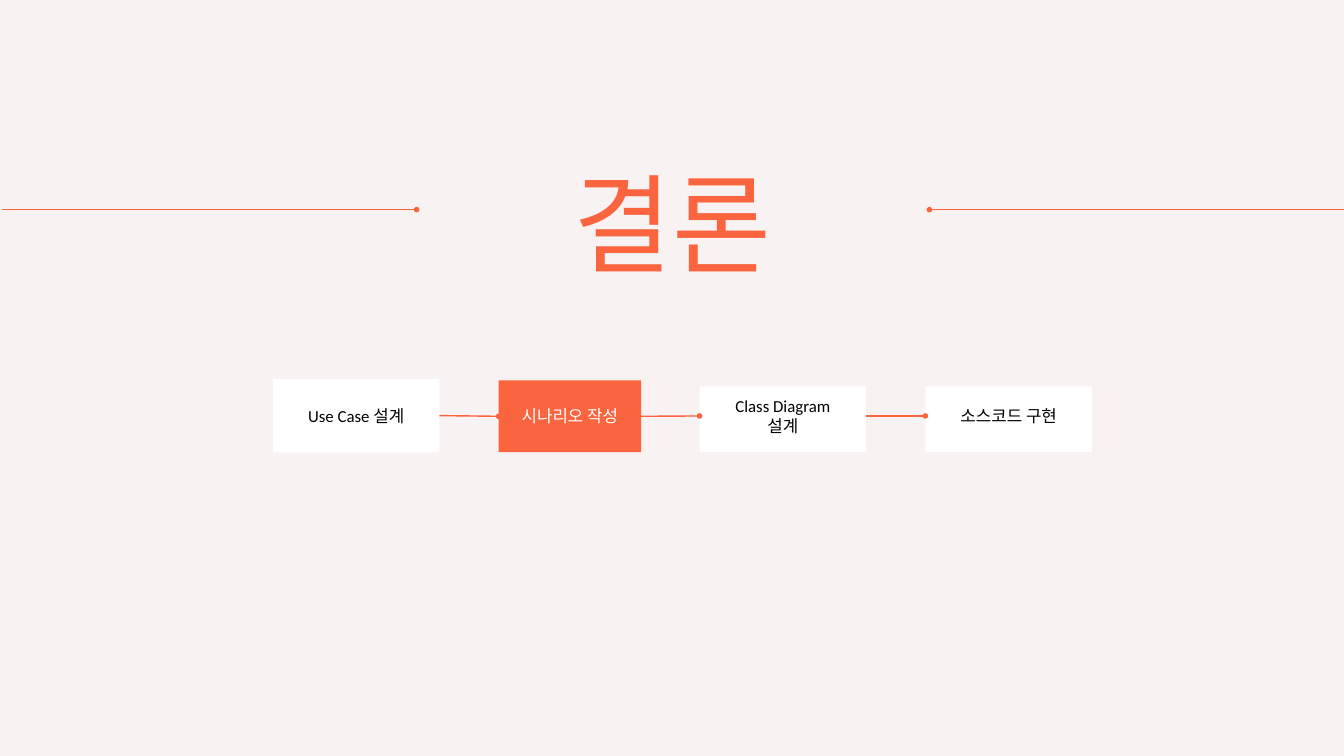
from lxml import etree
from pptx import Presentation
from pptx.dml.color import RGBColor
from pptx.enum.shapes import MSO_CONNECTOR as Connector, MSO_SHAPE as Shape
from pptx.enum.text import MSO_ANCHOR as Anchor, MSO_AUTO_SIZE as AutoSize, PP_ALIGN as Align
from pptx.oxml.ns import qn
from pptx.util import Inches, Pt

BACKGROUND = RGBColor(0xF8, 0xF3, 0xF2)
ORANGE = RGBColor(0xFA, 0x64, 0x3F)
WHITE = RGBColor(0xFF, 0xFF, 0xFF)
BLACK = RGBColor(0x00, 0x00, 0x00)

LEFT_SIDE, RIGHT_SIDE = 1, 3
PADDING = 0.28
LABEL_MIDDLE = 6.19
STEP_BOTTOM = 6.73

# label, left, top, width, fill, text colour
STEPS = [
    ("Use Case 설계", 4.06, 5.64, 2.48, WHITE, BLACK),
    ("시나리오 작성", 7.42, 5.66, 2.12, ORANGE, WHITE),
    ("Class Diagram 설계", 10.41, 5.75, 2.48, WHITE, BLACK),
    ("소스코드 구현", 13.77, 5.75, 2.48, WHITE, BLACK),
]


def set_all(target, values):
    for name, value in values.items():
        setattr(target, name, value)


def write_text(shape, text, frame_format, spacing, font_format, color):
    frame = shape.text_frame
    frame.text = text
    set_all(frame, {"word_wrap": True, **frame_format})
    paragraph = frame.paragraphs[0]
    set_all(paragraph, {"alignment": Align.CENTER, "line_spacing": spacing})
    set_all(paragraph.font, font_format)
    paragraph.font.color.rgb = color


def add_dotted_line(slide, start_x, end_x, y):
    """Draw a horizontal line that ends in a round dot."""
    line = slide.shapes.add_connector(
        Connector.STRAIGHT, Inches(start_x), Inches(y), Inches(end_x), Inches(y))
    line.line.color.rgb = ORANGE
    line.line.width = Pt(1.5)
    properties = line.line._get_or_add_ln()
    etree.SubElement(properties, qn("a:tailEnd"), type="oval")
    etree.SubElement(line._element.spPr, qn("a:effectLst"))
    return line


def add_heading(slide, left, top, width, height):
    title = slide.shapes.title
    set_all(title, {"left": Inches(left), "top": Inches(top),
                    "width": Inches(width), "height": Inches(height)})
    frame_format = {
        "margin_left": 0, "margin_top": 0, "margin_right": 0, "margin_bottom": 0,
        "vertical_anchor": Anchor.TOP, "auto_size": AutoSize.SHAPE_TO_FIT_TEXT,
    }
    write_text(title, "결론", frame_format, Pt(108),
               {"name": "Quicksand", "size": Pt(115)}, ORANGE)
    add_dotted_line(slide, 0.03, 6.2, 3.12)
    add_dotted_line(slide, 20, 13.83, 3.12)


def add_step(slide, label, left, top, width, fill, text_color):
    height = STEP_BOTTOM - top
    box = slide.shapes.add_shape(
        Shape.RECTANGLE, Inches(left), Inches(top), Inches(width), Inches(height))
    box.shadow.inherit = False
    box.fill.solid()
    box.fill.fore_color.rgb = fill
    box.line.fill.background()
    # A larger bottom margin keeps all labels on one line in boxes of unequal height.
    lift = max(0, top + STEP_BOTTOM - 2 * LABEL_MIDDLE)
    frame_format = {
        "margin_left": Inches(PADDING), "margin_right": Inches(PADDING),
        "margin_top": Inches(PADDING), "margin_bottom": Inches(PADDING + lift),
        "vertical_anchor": Anchor.MIDDLE,
    }
    write_text(box, label, frame_format, Pt(21),
               {"name": "Calibri", "size": Pt(18)}, text_color)
    return box


def is_centred(box):
    """Tell whether the middle of the box lies on the line of the labels."""
    return abs(box.top + box.height / 2 - Inches(LABEL_MIDDLE)) < Inches(0.02)


def add_process(slide):
    boxes = [add_step(slide, *step) for step in STEPS]
    for before, after in zip(boxes, boxes[1:]):
        line = add_dotted_line(slide, (before.left + before.width) / Inches(1),
                               after.left / Inches(1), LABEL_MIDDLE)
        if is_centred(before):
            line.begin_connect(before, RIGHT_SIDE)
        if is_centred(after):
            line.end_connect(after, LEFT_SIDE)


def main():
    presentation = Presentation()
    presentation.slide_width = Inches(20)
    presentation.slide_height = Inches(11.25)
    slide = presentation.slides.add_slide(presentation.slide_layouts.get_by_name("Title Only"))
    slide.background.fill.solid()
    slide.background.fill.fore_color.rgb = BACKGROUND
    add_heading(slide, 5.79, 2.76, 8.42, 1.51)
    add_process(slide)
    presentation.save("out.pptx")


if __name__ == "__main__":
    main()
